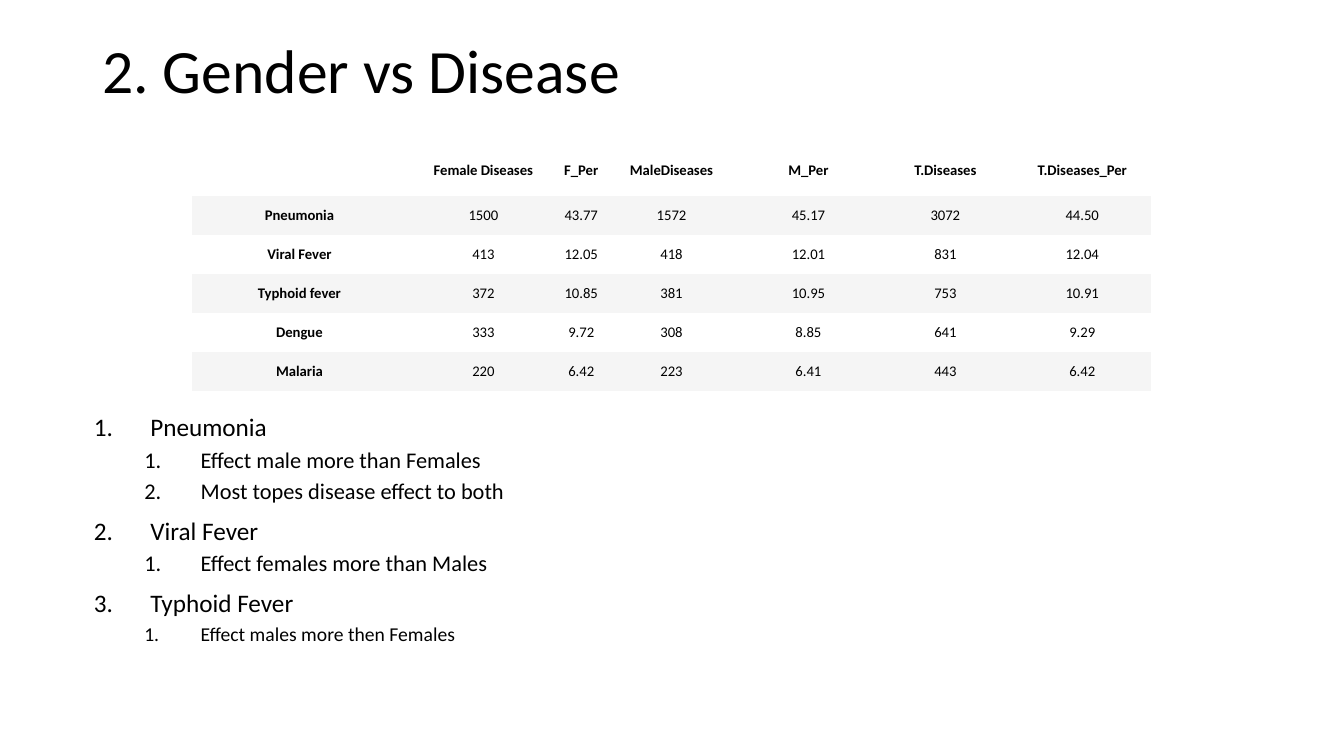
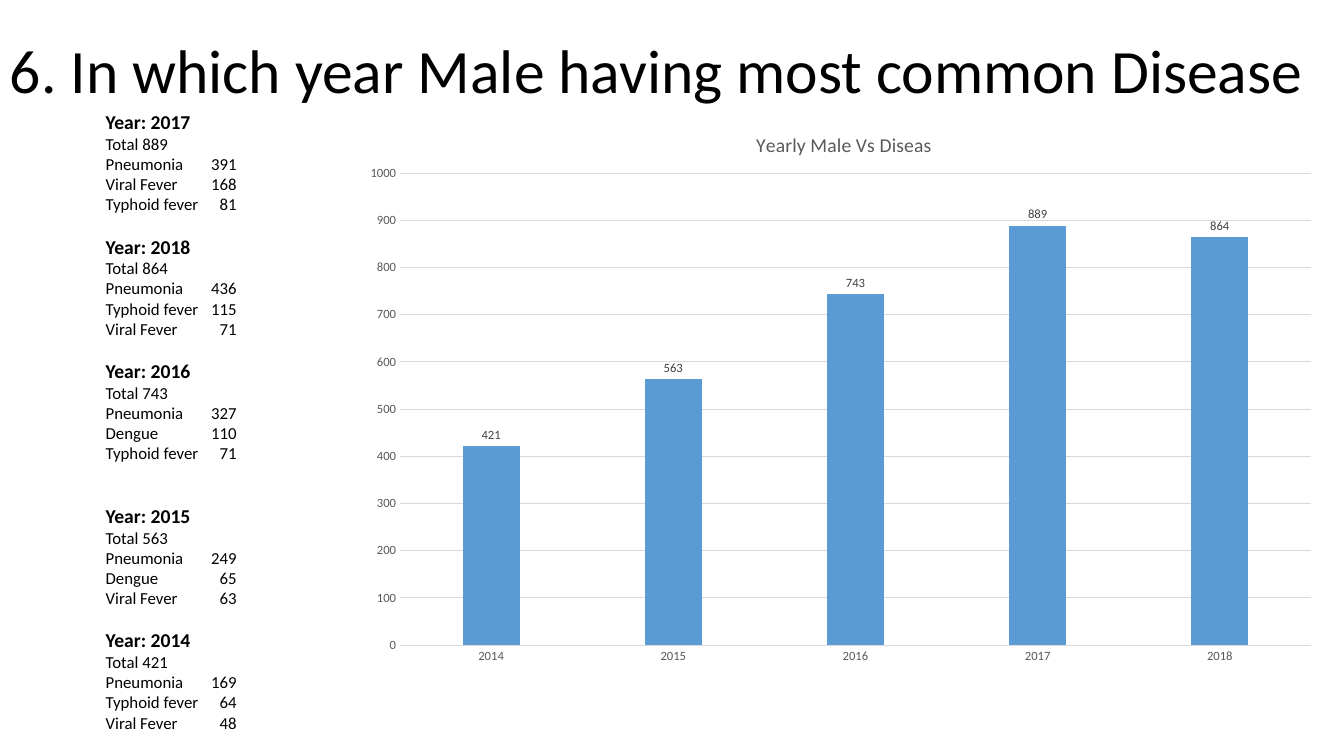
from lxml import etree
from pptx import Presentation
from pptx.chart.data import CategoryChartData
from pptx.dml.color import RGBColor
from pptx.enum.chart import XL_CHART_TYPE, XL_LABEL_POSITION, XL_TICK_MARK
from pptx.enum.text import MSO_ANCHOR, PP_ALIGN
from pptx.oxml.ns import qn
from pptx.util import Inches, Pt

COLUMN = XL_CHART_TYPE.COLUMN_CLUSTERED
OUTSIDE = XL_LABEL_POSITION.OUTSIDE_END
NO_TICK = XL_TICK_MARK.NONE
MIDDLE = MSO_ANCHOR.MIDDLE
CENTER = PP_ALIGN.CENTER

COLORS = {
    "ink": "000000",
    "paper": "FFFFFF",
    "stripe": "F5F5F5",
    "bar": "5B9BD5",
    "rule": "D9D9D9",
    "axis": "595959",
    "label": "404040",
}
FONT = "Calibri"
PLAIN_TABLE = "{2D5ABB26-0587-4C30-8999-92F81FD0307C}"
GRID_COLUMNS, GRID_ROWS = 80, 45

DISEASE_HEADER = ["", "Female Diseases", "F_Per", "MaleDiseases", "M_Per", "T.Diseases", "T.Diseases_Per"]
DISEASE_ROWS = [
    ["Pneumonia", "1500", "43.77", "1572", "45.17", "3072", "44.50"],
    ["Viral Fever", "413", "12.05", "418", "12.01", "831", "12.04"],
    ["Typhoid fever", "372", "10.85", "381", "10.95", "753", "10.91"],
    ["Dengue", "333", "9.72", "308", "8.85", "641", "9.29"],
    ["Malaria", "220", "6.42", "223", "6.41", "443", "6.42"],
]
FINDINGS = [
    ("Pneumonia", 16, ["Effect male more than Females", "Most topes disease effect to both"]),
    ("Viral Fever", 16, ["Effect females more than Males"]),
    ("Typhoid Fever", 14, ["Effect males more then Females"]),
]
MALE_TOTALS = {"2014": 421, "2015": 563, "2016": 743, "2017": 889, "2018": 864}
YEAR_LEADERS = [
    ("2017", 0, [("Pneumonia", 391), ("Viral Fever", 168), ("Typhoid fever", 81)]),
    ("2018", 14.5, [("Pneumonia", 436), ("Typhoid fever", 115), ("Viral Fever", 71)]),
    ("2016", 14.5, [("Pneumonia", 327), ("Dengue", 110), ("Typhoid fever", 71)]),
    ("2015", 29, [("Pneumonia", 249), ("Dengue", 65), ("Viral Fever", 63)]),
    ("2014", 14.5, [("Pneumonia", 169), ("Typhoid fever", 64), ("Viral Fever", 48)]),
]


def color(name):
    return RGBColor.from_string(COLORS[name])


def style_font(font, size, tone="ink", bold=False):
    font.name = FONT
    font.size = Pt(size)
    font.bold = bold
    font.color.rgb = color(tone)


def style_line(line):
    line.color.rgb = color("rule")
    line.width = Pt(0.75)


def set_layout(part, index, **shares):
    layout = part.find(qn("c:layout"))
    if layout is None:
        layout = etree.Element(qn("c:layout"))
        part.insert(index, layout)
    manual = etree.SubElement(layout, qn("c:manualLayout"))
    if "w" in shares:
        etree.SubElement(manual, qn("c:layoutTarget"), val="inner")
    for axis in "xy":
        etree.SubElement(manual, qn(f"c:{axis}Mode"), val="edge")
    for side, share in shares.items():
        etree.SubElement(manual, qn(f"c:{side}"), val=str(share))


class Deck:
    def __init__(self):
        self.presentation = Presentation()
        self.presentation.slide_width = Inches(13.33)
        self.presentation.slide_height = Inches(7.5)
        self.column = self.presentation.slide_width / GRID_COLUMNS
        self.row = self.presentation.slide_height / GRID_ROWS
        self.slide = None

    def add_slide(self):
        self.slide = self.presentation.slides.add_slide(self.presentation.slide_layouts[6])

    def box(self, left, top, width, height):
        return (round(left * self.column), round(top * self.row),
                round(width * self.column), round(height * self.row))

    def text_frame(self, *place):
        frame = self.slide.shapes.add_textbox(*self.box(*place)).text_frame
        frame.word_wrap = True
        return frame

    def paragraph(self, frame, text, size, bold=False, before=0):
        started = bool(frame.paragraphs[0].text)
        paragraph = frame.add_paragraph() if started else frame.paragraphs[0]
        paragraph.text = text
        paragraph.space_before = Pt(before)
        style_font(paragraph.font, size, bold=bold)
        return paragraph

    def title(self, text, left, width):
        frame = self.text_frame(left, 0, width, 8.7)
        frame.vertical_anchor = MIDDLE
        self.paragraph(frame, text, 44).line_spacing = 0.9

    def numbered(self, frame, text, size, level):
        paragraph = self.paragraph(frame, text, size, before=5 if level else 10)
        paragraph.line_spacing = 0.9
        paragraph.level = level
        properties = paragraph._p.get_or_add_pPr()
        properties.set("marL", str(Inches(0.56 + 0.5 * level)))
        properties.set("indent", str(-Inches(0.56)))
        number = etree.Element(qn("a:buAutoNum"), type="arabicPeriod")
        properties.find(qn("a:defRPr")).addprevious(number)

    def findings(self, groups, *place):
        frame = self.text_frame(*place)
        for disease, size, effects in groups:
            self.numbered(frame, disease, 18, 0)
            for effect in effects:
                self.numbered(frame, effect, size, 1)

    def year_list(self, years, totals, *place):
        frame = self.text_frame(*place)
        for year, gap, counts in years:
            self.paragraph(frame, f"Year: {year}", 14, bold=True, before=gap)
            self.paragraph(frame, f"Total {totals[year]}", 12)
            for disease, count in counts:
                entry = self.paragraph(frame, f"{disease}\t{count}", 12)
                stops = etree.Element(qn("a:tabLst"))
                etree.SubElement(stops, qn("a:tab"), pos=str(Inches(1.3)), algn="r")
                entry._p.get_or_add_pPr().find(qn("a:defRPr")).addprevious(stops)

    def table(self, rows, widths, heights, left, top):
        place = self.box(left, top, sum(widths), sum(heights))
        frame = self.slide.shapes.add_table(len(rows), len(widths), *place)
        next(frame.element.iter(qn("a:tableStyleId"))).text = PLAIN_TABLE
        table = frame.table
        for column, width in zip(table.columns, widths):
            column.width = round(width * self.column)
        for r, (values, height) in enumerate(zip(rows, heights)):
            table.rows[r].height = round(height * self.row)
            for c, value in enumerate(values):
                cell = table.cell(r, c)
                cell.fill.solid()
                cell.fill.fore_color.rgb = color("stripe" if r % 2 else "paper")
                cell.vertical_anchor = MIDDLE
                cell.margin_left = cell.margin_right = Inches(0.04)
                cell.margin_top = cell.margin_bottom = Inches(0.02)
                paragraph = self.paragraph(cell.text_frame, value, 10.5, bold=r == 0 or c == 0)
                paragraph.alignment = CENTER

    def column_chart(self, heading, series_name, totals, *place):
        data = CategoryChartData()
        data.categories = list(totals)
        data.add_series(series_name, list(totals.values()))
        chart = self.slide.shapes.add_chart(COLUMN, *self.box(*place), data).chart
        style_font(chart.font, 10)
        chart.has_legend = False
        chart.has_title = True
        caption = chart.chart_title.text_frame
        caption.text = heading
        style_font(caption.paragraphs[0].font, 14, "axis")
        set_layout(chart.element.find(".//" + qn("c:title")), 1, x=0.41, y=0.04)
        set_layout(chart.element.find(".//" + qn("c:plotArea")), 0, x=0.05, y=0.12, w=0.93, h=0.83)

        for axis in (chart.category_axis, chart.value_axis):
            axis.major_tick_mark = axis.minor_tick_mark = NO_TICK
            style_font(axis.tick_labels.font, 9, "axis")
        style_line(chart.category_axis.format.line)
        scale = chart.value_axis
        scale.minimum_scale, scale.maximum_scale, scale.major_unit = 0, 1000, 100
        scale.format.line.fill.background()
        style_line(scale.major_gridlines.format.line)

        plot = chart.plots[0]
        plot.gap_width, plot.overlap = 219, -27
        plot.vary_by_categories = False
        bars = plot.series[0]
        bars.format.fill.solid()
        bars.format.fill.fore_color.rgb = color("bar")
        labels = bars.data_labels
        labels.show_value = True
        labels.position = OUTSIDE
        style_font(labels.font, 9, "label")


def main():
    deck = Deck()

    deck.add_slide()
    deck.title("2. Gender vs Disease", 5.5, 69)
    deck.table([DISEASE_HEADER] + DISEASE_ROWS, [12.85, 9.05, 2.6] + [8.15] * 4,
               [2.95] + [2.32] * len(DISEASE_ROWS), 11.4, 8.7)
    deck.findings(FINDINGS, 5, 24.4, 58.3, 20.6)

    deck.add_slide()
    deck.title("6. In which year Male having most common Disease", 0, GRID_COLUMNS)
    deck.column_chart("Yearly Male Vs Diseas", "Series 1", MALE_TOTALS, 20.9, 6.25, 58.3, 33.85)
    deck.year_list(YEAR_LEADERS, MALE_TOTALS, 5.7, 6.25, 40, 38)

    deck.presentation.save("out.pptx")


if __name__ == "__main__":
    main()
